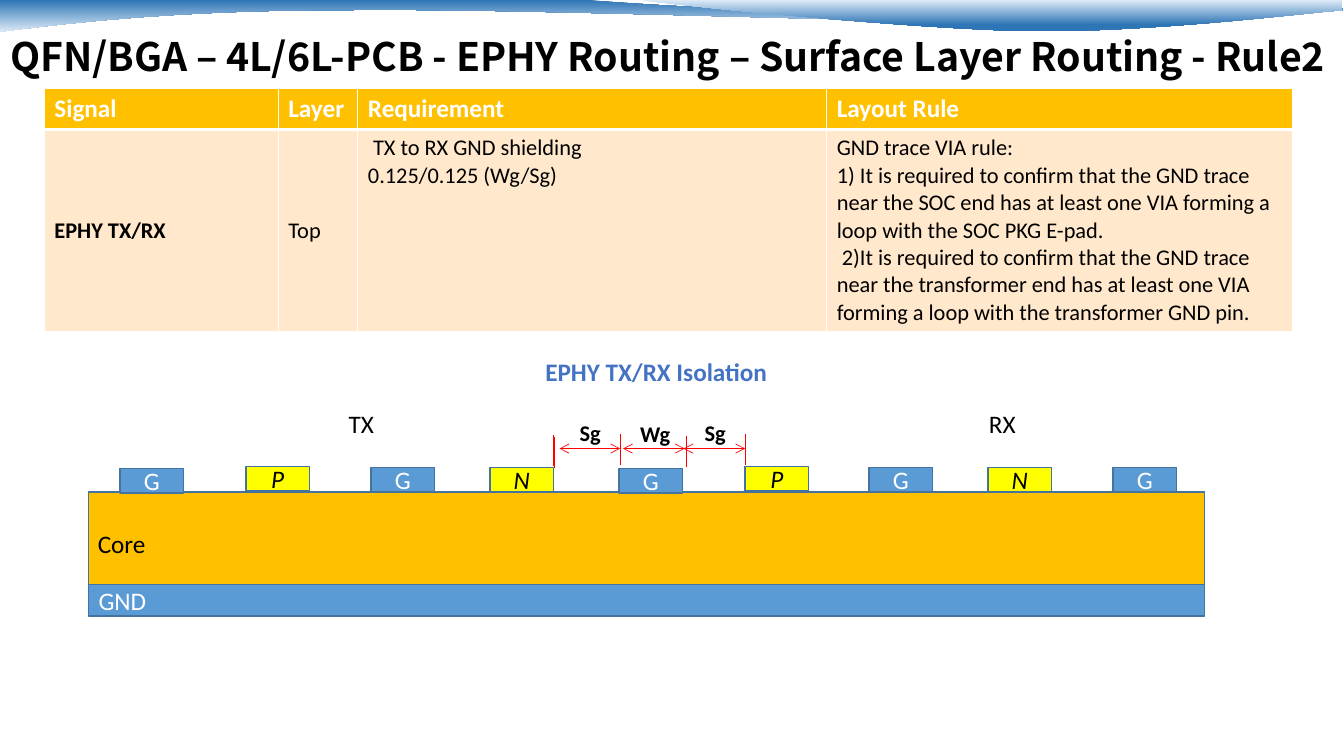
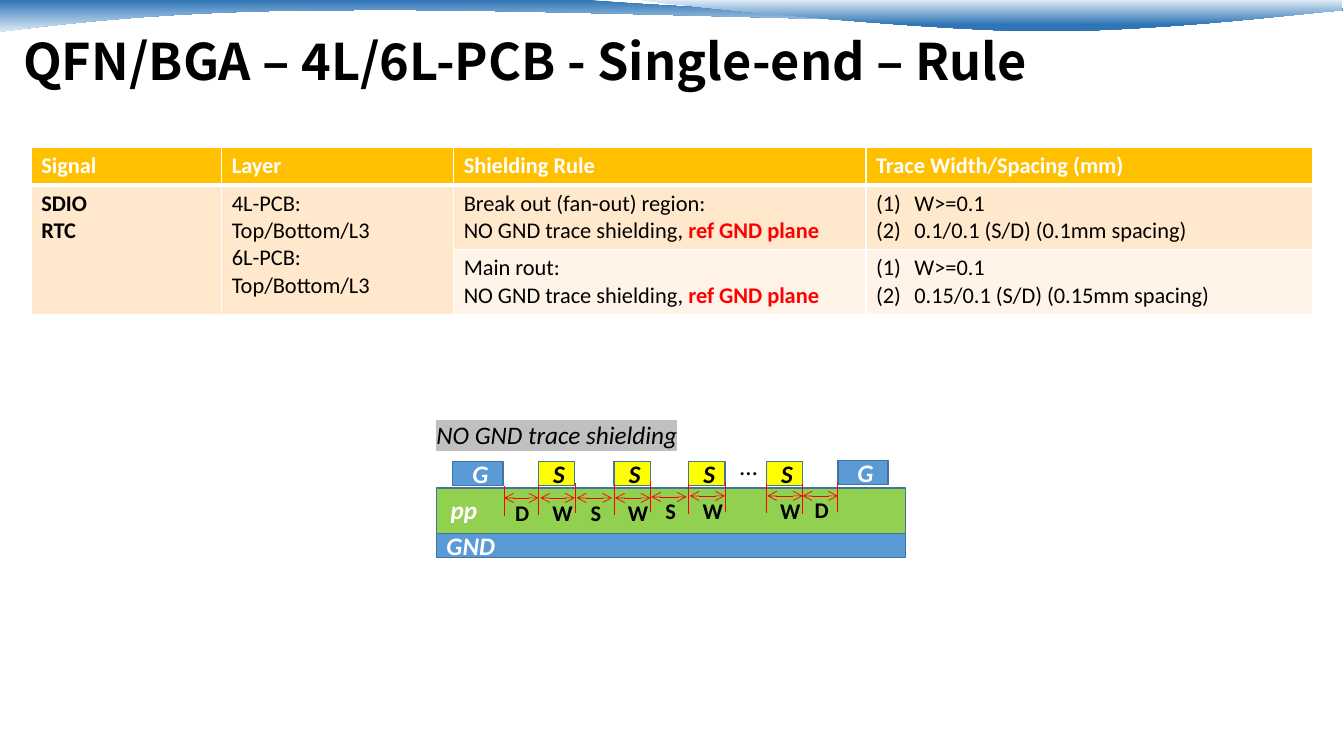
from dataclasses import dataclass

from lxml import etree
from pptx import Presentation
from pptx.dml.color import RGBColor
from pptx.enum.shapes import MSO_CONNECTOR, MSO_SHAPE
from pptx.enum.text import MSO_ANCHOR, MSO_AUTO_SIZE, PP_ALIGN
from pptx.oxml.ns import qn
from pptx.util import Inches, Pt

RECTANGLE, STRAIGHT = MSO_SHAPE.RECTANGLE, MSO_CONNECTOR.STRAIGHT
TOP, MIDDLE, BOTTOM = MSO_ANCHOR.TOP, MSO_ANCHOR.MIDDLE, MSO_ANCHOR.BOTTOM
LEFT, CENTER = PP_ALIGN.LEFT, PP_ALIGN.CENTER
TITLE_ONLY = 5


@dataclass(frozen=True)
class Theme:
    title_font: str = "Noto Sans CJK TC"
    font: str = "Calibri"
    label_size: int = 18
    body_size: int = 16
    black: str = "000000"
    white: str = "FFFFFF"
    red: str = "FF0000"
    yellow: str = "FFFF00"
    gold: str = "FFC000"
    green: str = "92D050"
    copper: str = "5B9BD5"
    outline: str = "43739E"
    heading: str = "4472C4"
    gray: str = "C0C0C0"
    band: str = "FFE8CC"
    band_light: str = "FFF4E7"
    wave_dark: str = "2E75B6"
    wave_light: str = "DEEBF7"


THEME = Theme()

# Waves: a pair is a corner, three pairs are a Bezier curve.
WAVES = [
    {"start": (-0.03, 0),
     "steps": [
         [(5.84, 0)],
         [(6.32, 0.05), (8.82, 0.18), (10.09, 0.18)],
         [(11.35, 0.18), (12.75, 0.07), (13.31, 0.03)],
         [(13.32, 0.1)],
         [(13.09, 0.13), (11.57, 0.22), (9.92, 0.22)],
         [(8.27, 0.21), (5.06, 0.08), (3.4, 0.1)],
         [(1.7, 0.1), (0.59, 0.24), (-0.04, 0.32)]],
     "stops": [(0, THEME.wave_dark), (1, THEME.wave_light)]},
    {"start": (6.36, 0),
     "steps": [
         [(6.77, 0.06), (9.07, 0.29), (10.22, 0.31)],
         [(11.38, 0.32), (12.79, 0.15), (13.31, 0.1)],
         [(13.31, 0)]],
     "stops": [(0, THEME.wave_light), (0.8, THEME.wave_dark)]},
]

REF_PLANE = ("ref GND plane", {"color": THEME.red, "bold": True})

ISOLATION = {
    "title": "QFN/BGA – 4L/6L-PCB - EPHY Routing – Surface Layer Routing - Rule2",
    "title_size": 28,
    "title_box": (0, 0, 13.53, 0.79),
    "table": {
        "corner": (0.44, 0.88),
        "columns": [2.32, 0.79, 4.65, 4.62],
        "rows": [0.39, 1.97],
        "header_size": 18,
        "header": ["Signal", "Layer", "Requirement", "Layout Rule"],
        "body": [[
            {"text": ["EPHY TX/RX"], "bold": True, "anchor": MIDDLE},
            {"text": ["Top"], "anchor": MIDDLE},
            {"text": [" TX to RX GND shielding", "0.125/0.125 (Wg/Sg)"]},
            {"text": ["GND trace VIA rule:\n1) It is required to confirm that the GND trace near "
                      "the SOC end has at least one VIA forming a loop with the SOC PKG E-pad.\n"
                      " 2)It is required to confirm that the GND trace near the transformer "
                      "end has at least one VIA forming a loop with the transformer GND pin."]},
        ]],
        "merged": [],
    },
    # label, box, fill, text colour, (left, top, bottom) padding
    "layers": [
        ("Core", (0.88, 4.88, 11.07, 0.95), THEME.gold, THEME.black, (0.09, 0.07, 0)),
        ("GND", (0.88, 5.8, 11.07, 0.31), THEME.copper, THEME.white, (0.1, 0, 0)),
    ],
    "layer_style": {},
    # label, left, top
    "traces": [("G", 1.19, 4.65), ("P", 2.44, 4.63), ("G", 3.68, 4.64),
               ("N", 4.86, 4.64), ("G", 6.14, 4.65), ("P", 7.39, 4.63),
               ("G", 8.62, 4.64), ("N", 9.8, 4.64), ("G", 11.04, 4.64)],
    "trace_widths": {"ground": 0.63, "signal": 0.63},
    "trace_pad": 0,
    "ground_style": {},
    "signal_style": {"italic": True},
    # x, top
    "ticks": [(5.49, 4.32), (5.5, 4.34), (6.15, 4.31), (6.81, 4.33), (7.39, 4.31)],
    # from, to, y
    "spans": [(5.55, 6.15, 4.45), (6.18, 6.79, 4.45), (6.78, 7.39, 4.45)],
    "span_labels": [("Sg", 5.65, 4.11, 0.44), ("Wg", 6.25, 4.12, 0.58), ("Sg", 6.89, 4.11, 0.44)],
    "captions": [
        ("EPHY TX/RX Isolation", (5.31, 3.49, 2.41), {"color": THEME.heading, "bold": True}),
        ("TX", (3.36, 4, 0.45), {}),
        ("RX", (9.71, 4, 0.47), {}),
    ],
}

SINGLE_END = {
    "title": "QFN/BGA – 4L/6L-PCB - Single-end – Rule",
    "title_size": 36,
    "title_box": (0.13, 0.12, 12.26, 0.79),
    "table": {
        "corner": (0.31, 1.46),
        "columns": [1.89, 2.3, 4.09, 4.43],
        "rows": [0.37, 0.64, 0.64],
        "header_size": 16,
        "header": ["Signal", "Layer", "Shielding Rule", "Trace Width/Spacing (mm)"],
        "body": [
            [{"text": ["SDIO", "RTC"], "bold": True},
             {"text": ["4L-PCB: \nTop/Bottom/L3", "6L-PCB:\nTop/Bottom/L3"]},
             {"text": [["Break out (fan-out) region:\nNO GND trace shielding, ", REF_PLANE]]},
             {"text": ["W>=0.1", "0.1/0.1 (S/D) (0.1mm spacing)"], "numbered": True}],
            [None,
             None,
             {"text": ["Main rout:", ["NO GND trace shielding, ", REF_PLANE]]},
             {"text": ["W>=0.1", "0.15/0.1 (S/D) (0.15mm spacing)"], "numbered": True}],
        ],
        "merged": [0, 1],
    },
    "layers": [
        ("pp", (4.33, 4.84, 4.65, 0.51), THEME.green, THEME.white, (0.14, 0, 0.09)),
        ("GND", (4.33, 5.29, 4.65, 0.24), THEME.copper, THEME.white, (0.1, 0, 0)),
    ],
    "layer_style": {"bold": True, "italic": True},
    "traces": [("G", 4.49, 4.58), ("S", 5.34, 4.58), ("S", 6.09, 4.58),
               ("S", 6.83, 4.58), ("S", 7.6, 4.58), ("G", 8.31, 4.57)],
    "trace_widths": {"ground": 0.5, "signal": 0.36},
    "trace_pad": 0.05,
    "ground_style": {"bold": True, "italic": True},
    "signal_style": {"bold": True, "italic": True},
    "ticks": [(5, 4.82), (5.34, 4.81), (5.71, 4.79), (6.09, 4.81), (6.45, 4.78),
              (6.83, 4.8), (7.19, 4.78), (7.6, 4.79), (7.96, 4.8), (8.31, 4.78)],
    "spans": [(5, 5.34, 4.94), (5.36, 5.7, 4.94), (5.72, 6.07, 4.94), (6.1, 6.45, 4.94),
              (6.46, 6.81, 4.93), (6.84, 7.19, 4.92), (7.61, 7.96, 4.92), (7.96, 8.31, 4.92)],
    "span_labels": [("D", 5.01, 4.9, 0.35), ("W", 5.38, 4.9, 0.4), ("S", 5.76, 4.9, 0.3),
                    ("W", 6.13, 4.9, 0.4), ("S", 6.5, 4.88, 0.3), ("W", 6.87, 4.88, 0.4),
                    ("W", 7.64, 4.88, 0.4), ("D", 7.98, 4.87, 0.35)],
    "captions": [
        ("…", (7.24, 4.42, 0.37), {}),
        ("NO GND trace shielding", (4.23, 4.11, 2.6), {"italic": True, "highlight": THEME.gray}),
    ],
}


def rgb(code):
    return RGBColor.from_string(code)


def inches(*values):
    return [Inches(value) for value in values]


def add_xml(parent, tag, **attributes):
    return etree.SubElement(parent, qn(tag), attributes)


def style_run(span, size, color=THEME.black, font=THEME.font, bold=False, italic=False,
              highlight=None):
    span.font.size, span.font.name = Pt(size), font
    span.font.bold, span.font.italic = bold, italic
    span.font.color.rgb = rgb(color)
    if highlight:
        mark = etree.Element(qn("a:highlight"))
        add_xml(mark, "a:srgbClr", val=highlight)
        span.font.fill  # colour element exists; the highlight follows it
        span._r.rPr.find(qn("a:solidFill")).addnext(mark)


def write(frame, paragraphs, align=LEFT, numbered=False, **style):
    """Fill a frame; a paragraph is a string or a list of strings and (text, overrides)."""
    for index, content in enumerate(paragraphs):
        para = frame.add_paragraph() if index else frame.paragraphs[0]
        para.alignment = align
        if numbered:
            properties = para._p.get_or_add_pPr()
            properties.set("marL", str(Inches(0.38)))
            properties.set("indent", str(-Inches(0.38)))
            add_xml(properties, "a:buFont", typeface="+mj-lt")
            add_xml(properties, "a:buAutoNum", type="arabicParenBoth")
        for part in [content] if isinstance(content, str) else content:
            text, overrides = (part, {}) if isinstance(part, str) else part
            for line_number, line in enumerate(text.split("\n")):
                if line_number:
                    para.add_line_break()
                span = para.add_run()
                span.text = line
                style_run(span, **{**style, **overrides})


def set_margins(frame, left=0, top=0, right=0, bottom=0):
    frame.margin_left, frame.margin_top, frame.margin_right, frame.margin_bottom = inches(
        left, top, right, bottom)


def curve_points(start, controls, count=16):
    """Points along a cubic Bezier curve, without its start."""
    nodes = [start, *controls]
    for step in range(1, count + 1):
        t = step / count
        weights = ((1 - t) ** 3, 3 * t * (1 - t) ** 2, 3 * t ** 2 * (1 - t), t ** 3)
        yield tuple(sum(w * node[axis] for w, node in zip(weights, nodes)) for axis in (0, 1))


def move_waves_to_master(deck, slide):
    """Draw the top waves and place them behind everything on the master."""
    tree = deck.slide_master.element.cSld.spTree
    for index, wave in enumerate(WAVES):
        points = [wave["start"]]
        for step in wave["steps"]:
            points.extend(step if len(step) == 1 else curve_points(points[-1], step))
        builder = slide.shapes.build_freeform(*inches(*points[0]))
        builder.add_line_segments([inches(*point) for point in points[1:]])
        shape = builder.convert_to_shape()
        shape.shadow.inherit = False
        shape.line.fill.background()
        shape.fill.gradient()
        shape.fill.gradient_angle = 270
        for stop, (position, color) in zip(shape.fill.gradient_stops, wave["stops"]):
            stop.position, stop.color.rgb = position, rgb(color)
        tree.insert(2 + index, shape.element)


def set_title(slide, content):
    title = slide.shapes.title
    title.left, title.top, title.width, title.height = inches(*content["title_box"])
    frame = title.text_frame
    frame.auto_size, frame.word_wrap = MSO_AUTO_SIZE.NONE, True
    frame.vertical_anchor = BOTTOM
    set_margins(frame, left=0.1, right=0.1)
    write(frame, [content["title"]], size=content["title_size"], font=THEME.title_font, bold=True)
    frame.paragraphs[0].line_spacing = 0.9


def set_borders(cell, bottom):
    properties = cell._tc.get_or_add_tcPr()
    for index, (side, width) in enumerate((("L", 1), ("R", 1), ("T", 1), ("B", bottom))):
        border = etree.Element(qn("a:ln" + side), w=str(Pt(width)))
        add_xml(add_xml(border, "a:solidFill"), "a:srgbClr", val=THEME.white)
        properties.insert(index, border)


def add_rule_table(slide, spec):
    columns, rows = spec["columns"], spec["rows"]
    table = slide.shapes.add_table(len(rows), len(columns), *inches(
        *spec["corner"], sum(columns), sum(rows))).table
    for column, width in zip(table.columns, columns):
        column.width = Inches(width)
    for row, height in zip(table.rows, rows):
        row.height = Inches(height)
    header = [{"text": [name], "size": spec["header_size"], "color": THEME.white, "bold": True}
              for name in spec["header"]]
    fills = (THEME.gold, THEME.band, THEME.band_light)
    for row_index, entries in enumerate([header, *spec["body"]]):
        for column_index, entry in enumerate(entries):
            cell = table.cell(row_index, column_index)
            cell.fill.solid()
            cell.fill.fore_color.rgb = rgb(fills[row_index])
            set_borders(cell, bottom=1 if row_index else 3)
            if entry:
                style = {"size": THEME.body_size, **entry}
                cell.vertical_anchor = style.pop("anchor", TOP)
                write(cell.text_frame, style.pop("text"), **style)
    for column_index in spec["merged"]:
        table.cell(1, column_index).merge(table.cell(len(rows) - 1, column_index))


def add_block(canvas, label, box, fill, align, pads, **style):
    shape = canvas.add_shape(RECTANGLE, *inches(*box))
    shape.shadow.inherit = False
    shape.fill.solid()
    shape.fill.fore_color.rgb = rgb(fill)
    shape.line.color.rgb, shape.line.width = rgb(THEME.outline), Pt(1)
    frame = shape.text_frame
    frame.word_wrap, frame.vertical_anchor = False, MIDDLE
    left, top, bottom = pads
    set_margins(frame, left=left, top=top, bottom=bottom)
    write(frame, [label], align=align, size=THEME.label_size, **style)


def add_label(canvas, text, box, size, **style):
    frame = canvas.add_textbox(*inches(*box)).text_frame
    frame.word_wrap = False
    write(frame, [text], size=size, **style)


def add_red_line(canvas, start, end, arrows=False):
    connector = canvas.add_connector(STRAIGHT, *inches(*start, *end))
    connector.line.color.rgb, connector.line.width = rgb(THEME.red), Pt(0.5)
    if arrows:
        for tag in ("a:headEnd", "a:tailEnd"):
            add_xml(connector.line._get_or_add_ln(), tag, type="arrow")
    add_xml(connector.element.spPr, "a:effectLst")


def add_cross_section(canvas, content):
    for label, box, fill, color, pads in content["layers"]:
        add_block(canvas, label, box, fill, LEFT, pads, color=color, **content["layer_style"])
    looks = {"ground": (THEME.copper, THEME.white), "signal": (THEME.yellow, THEME.black)}
    for label, left, top in content["traces"]:
        kind = "ground" if label == "G" else "signal"
        fill, color = looks[kind]
        add_block(canvas, label, (left, top, content["trace_widths"][kind], 0.24), fill, CENTER,
                  (content["trace_pad"], 0, 0), color=color, **content[kind + "_style"])
    for x, top in content["ticks"]:
        add_red_line(canvas, (x, top + 0.3), (x, top))
    for start, end, y in content["spans"]:
        add_red_line(canvas, (start, y), (end, y), arrows=True)
    for text, left, top, width in content["span_labels"]:
        add_label(canvas, text, (left, top, width, 0.37), THEME.body_size, bold=True)
    for text, place, style in content["captions"]:
        add_label(canvas, text, (*place, 0.4), THEME.label_size, **style)


def main():
    deck = Presentation()
    deck.slide_width, deck.slide_height = inches(13.33, 7.5)
    for index, content in enumerate((ISOLATION, SINGLE_END)):
        slide = deck.slides.add_slide(deck.slide_layouts[TITLE_ONLY])
        if index == 0:
            move_waves_to_master(deck, slide)
        set_title(slide, content)
        add_rule_table(slide, content["table"])
        add_cross_section(slide.shapes.add_group_shape().shapes, content)
    deck.save("out.pptx")


if __name__ == "__main__":
    main()
